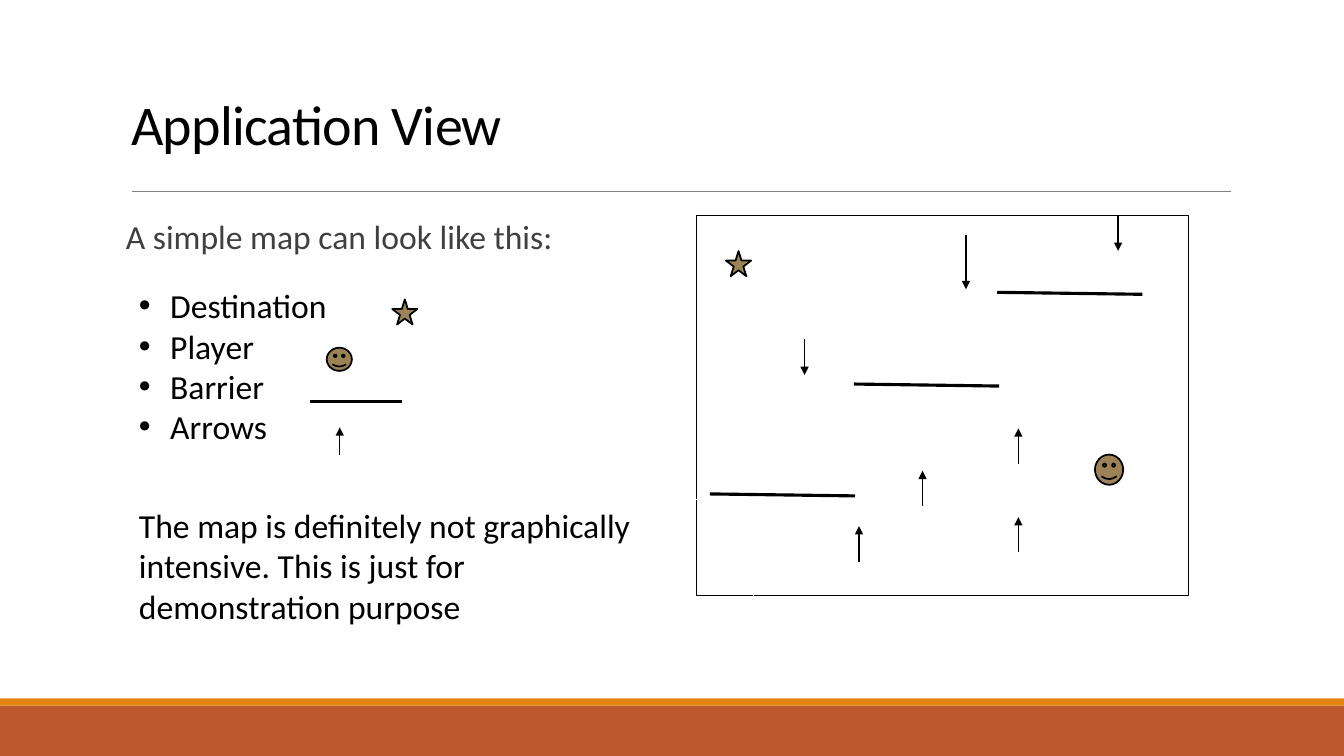
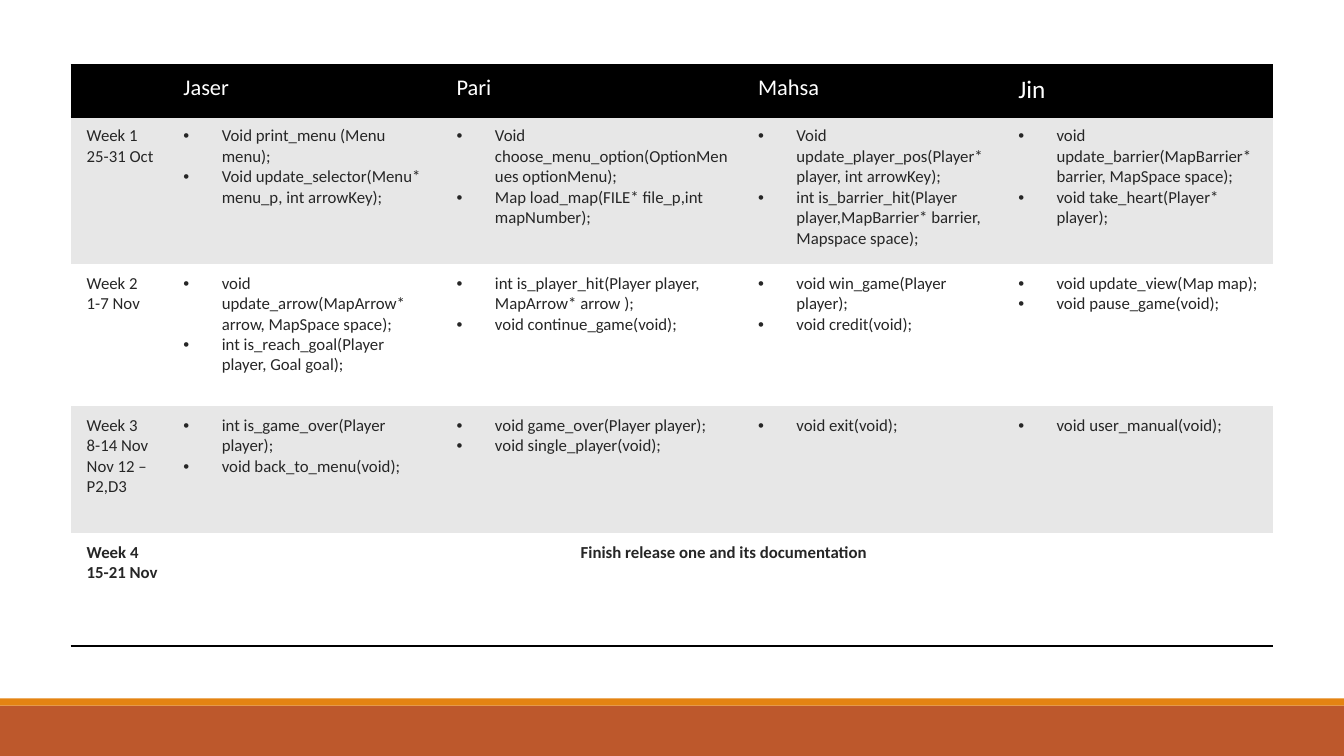
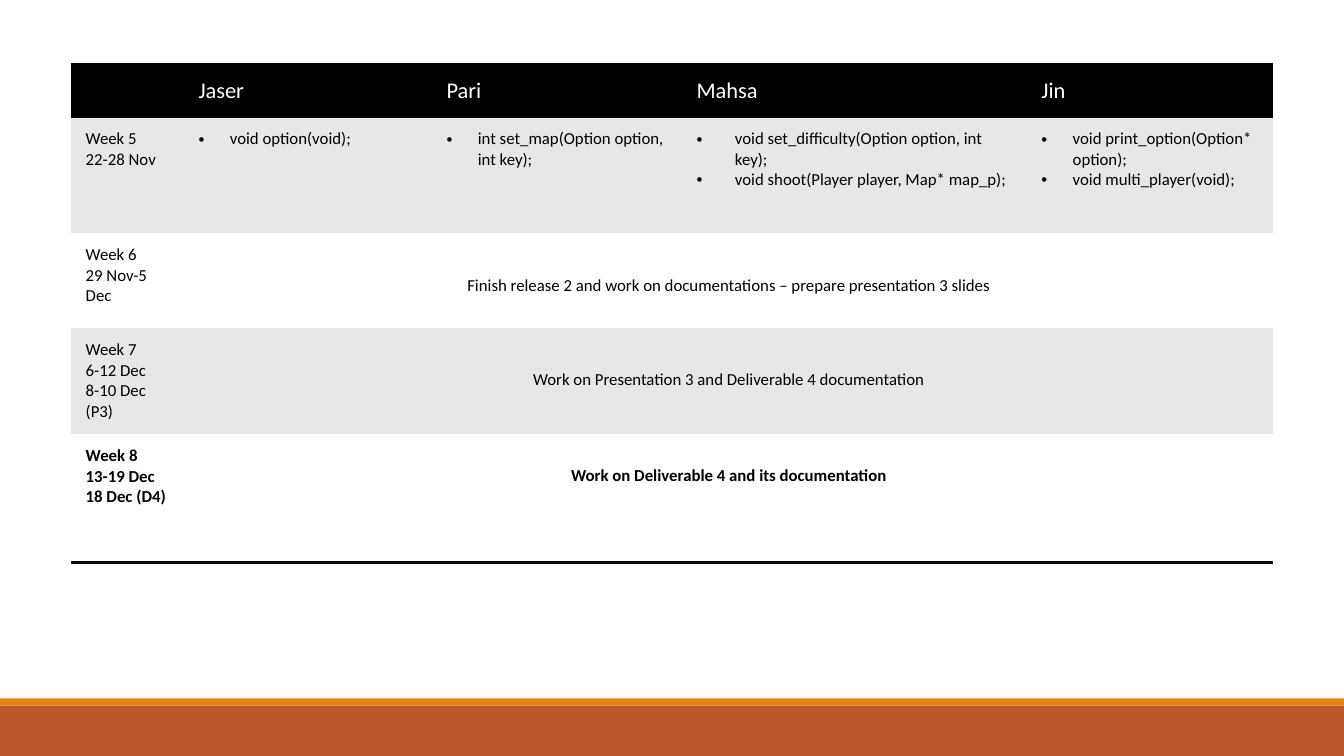
from pptx import Presentation
from pptx.dml.color import RGBColor
from pptx.enum.shapes import MSO_CONNECTOR as CONN, MSO_SHAPE as SHAPE
from pptx.enum.text import MSO_ANCHOR as ANCHOR, MSO_AUTO_SIZE as AUTO, PP_ALIGN as ALIGN
from pptx.oxml.ns import qn
from pptx.util import Inches, Pt
from lxml.etree import SubElement, Element

COLORS = {"rust": "BD582C", "orange": "E48312", "rule": "808080", "black": "000000",
          "body": "404040", "cell": "262626", "tan": "9B8357", "band": "E7E7E7",
          "white": "FFFFFF"}
FONT = "Calibri"
W, H = 13.33, 7.5
NO_STYLE = "{2D5ABB26-0587-4C30-8999-92F81FD0307C}"

prs = Presentation()
prs.slide_width, prs.slide_height = Inches(W), Inches(H)
TITLE_ONLY, BLANK = prs.slide_layouts[5], prs.slide_layouts[6]


def rgb(name):
    return RGBColor.from_string(COLORS[name])


# Shared drawing helpers
def add_shape(s, kind, x, y, w, h, fill=None, line=None, width=1.0):
    sp = s.shapes.add_shape(kind, Inches(x), Inches(y), Inches(w), Inches(h))
    sp.shadow.inherit = False
    if fill:
        sp.fill.solid()
        sp.fill.fore_color.rgb = rgb(fill)
    else:
        sp.fill.background()
    if line:
        sp.line.color.rgb = rgb(line)
        sp.line.width = Pt(width)
    else:
        sp.line.fill.background()
    return sp


def add_line(s, x1, y1, x2, y2, color="black", width=1.0, arrow=False):
    line = s.shapes.add_connector(CONN.STRAIGHT, Inches(x1), Inches(y1), Inches(x2), Inches(y2))
    line.line.color.rgb = rgb(color)
    line.line.width = Pt(width)
    if arrow:
        SubElement(line.line._get_or_add_ln(), qn("a:tailEnd"), type="triangle")
    SubElement(line._element.spPr, qn("a:effectLst"))


def add_bullet(p, indent):
    pPr = p._p.get_or_add_pPr()
    pPr.set("marL", str(Inches(indent)))
    pPr.set("indent", str(-Inches(indent)))
    SubElement(pPr, qn("a:buFont"), typeface="Arial")
    SubElement(pPr, qn("a:buChar"), char="•")


def write(tf, lines, size, color="black", bold=False, align=ALIGN.LEFT, indent=0, spacing=None):
    tf.word_wrap = True
    tf.text = "\n".join(lines)
    for p in tf.paragraphs:
        p.alignment = align
        if spacing:
            p.line_spacing = spacing
        if indent:
            add_bullet(p, indent)
        for r in p.runs:
            r.font.name, r.font.size, r.font.bold = FONT, Pt(size), bold
            r.font.color.rgb = rgb(color)


def add_text(s, x, y, w, h, lines, **style):
    box = s.shapes.add_textbox(Inches(x), Inches(y), Inches(w), Inches(h))
    write(box.text_frame, lines, 24, **style)


def add_slide(layout):
    s = prs.slides.add_slide(layout)
    add_shape(s, SHAPE.RECTANGLE, 0, 7, W, 0.5, "rust")
    add_shape(s, SHAPE.RECTANGLE, 0, 6.93, W, 0.07, "orange")
    return s


def set_title(s, text):
    title = s.shapes.title
    title.left, title.top, title.width, title.height = map(Inches, (1.2, 0.02, 11, 1.59))
    tf = title.text_frame
    tf.auto_size, tf.vertical_anchor = AUTO.NONE, ANCHOR.BOTTOM
    write(tf, [text], 40, spacing=0.85)
    tf.paragraphs[0].runs[0].font._element.set("spc", "-50")
    add_line(s, 1.31, 1.9, 12.21, 1.9, "rule", 0.5)


# Game pieces
def add_star(s, x, y):
    add_shape(s, SHAPE.STAR_5_POINT, x, y, 0.25, 0.25, "tan", "black", 1.25)


def add_player(s, x, y, w, h):
    add_shape(s, SHAPE.SMILEY_FACE, x, y, w, h, "tan", "black", 1.25)


def add_barrier(s, x, y, length, drop=0.0):
    add_line(s, x, y, x + length, y + drop, width=2.25)


def add_arrow(s, x, tail, head):
    add_line(s, x, tail, x, head, arrow=True)


def draw_map(s, x, y, w, h):
    add_shape(s, SHAPE.RECTANGLE, x, y, w, h, line="black")
    add_star(s, x + 0.29, y + 0.35)
    add_player(s, x + 3.95, y + 2.37, 0.28, 0.3)
    for dx, dy in [(2.98, 0.76), (0.13, 2.76), (1.56, 1.67)]:
        add_barrier(s, x + dx, y + dy, 1.44, 0.02)
    for dx, tail, head in [(4.18, 0, 0.35), (2.67, 0.19, 0.73), (1.07, 1.22, 1.58),
                           (2.24, 2.88, 2.53), (3.19, 3.34, 2.99), (3.19, 2.46, 2.11),
                           (1.61, 3.44, 3.08)]:
        add_arrow(s, x + dx, y + tail, y + head)


def draw_legend(s, x, y, w, h):
    add_text(s, x, y, w, h, ["Destination", "Player", "Barrier", "Arrows"], indent=0.31)
    add_star(s, x + 2.61, y + 0.19)
    add_player(s, x + 1.96, y + 0.67, 0.25, 0.23)
    add_barrier(s, x + 1.79, y + 1.2, 0.92)
    add_arrow(s, x + 2.09, y + 1.73, y + 1.46)


def draw_note(s, x, y, w, h):
    note = add_shape(s, SHAPE.RECTANGLE, x, y, w, h, line="white", width=0.75)
    tf = note.text_frame
    tf.vertical_anchor = ANCHOR.TOP
    tf.margin_right = Inches(0.2)
    write(tf, ["The map is definitely not graphically intensive. This is just for",
               "demonstration purpose"], 24)


# Schedule tables
def add_borders(cell, sides):
    tcPr = cell._tc.get_or_add_tcPr()
    for i, side in enumerate(sides):
        ln = Element(qn("a:ln" + side), w=str(Pt(2)))
        SubElement(SubElement(ln, qn("a:solidFill")), qn("a:srgbClr"), val=COLORS["black"])
        tcPr.insert(i, ln)


def draw_schedule(s, x, y, cols, heights, rows, insets, indents, color, drops, header_anchor):
    """A one-entry row after its week spans the other columns; drops lower its text."""
    frame = s.shapes.add_table(len(rows), len(cols), Inches(x), Inches(y),
                               Inches(sum(cols)), Inches(sum(heights)))
    table = frame.table
    table.first_row = table.horz_banding = False
    table._tbl.tblPr.find(qn("a:tableStyleId")).text = NO_STYLE
    for col, width in zip(table.columns, cols):
        col.width = Inches(width)
    last = len(rows) - 1
    for i, entries in enumerate(rows):
        table.rows[i].height = Inches(heights[i])
        spans = len(entries) == 2
        for j in range(len(cols)):
            cell = table.cell(i, j)
            cell.fill.solid()
            cell.fill.fore_color.rgb = rgb("black" if i == 0 else "band" if i % 2 else "white")
            add_borders(cell, "TB" if i == 0 else "B" if i == last else "")
            if j >= len(entries) or not entries[j]:
                cell.margin_top = cell.margin_bottom = 0
                continue
            cell.margin_left, cell.margin_top, cell.margin_right, cell.margin_bottom = map(
                Inches, insets)
            tf = cell.text_frame
            if i == 0:
                cell.vertical_anchor = header_anchor
                write(tf, entries[j], 16, "white")
            elif spans and j == 1:
                cell.margin_top = Inches(insets[1] + drops.get(i, 0))
                write(tf, entries[j], 12, color, i == last, ALIGN.CENTER)
            else:
                write(tf, entries[j], 12, color, i == last, indent=indents[j])
        if spans:
            table.cell(i, 1).merge(table.cell(i, len(cols) - 1))
    return table


HEADER = [[], ["Jaser"], ["Pari"], ["Mahsa"], ["Jin"]]

# Slide 1: application view
s = add_slide(TITLE_ONLY)
set_title(s, "Application View")
add_text(s, 1.15, 2.14, 5.5, 0.5, ["A simple map can look like this:"], color="body", spacing=0.9)
draw_map(s, 6.91, 2.14, 4.88, 3.77)
draw_legend(s, 1.28, 2.78, 3, 1.72)
draw_note(s, 1.28, 4.96, 6.19, 1.31)

# Slide 2: weeks 1 to 4
s = add_slide(BLANK)
table = draw_schedule(
    s, 0.7, 0.65, [0.96, 2.71, 2.99, 2.58, 2.69], [0.51, 1.46, 1.41, 1.26, 1.12],
    [HEADER,
     [["Week 1", "25-31 Oct"],
      ["Void print_menu (Menu menu);", "Void update_selector(Menu* menu_p, int arrowKey);"],
      ["Void choose_menu_option(OptionMenues optionMenu);",
       "Map load_map(FILE* file_p,int mapNumber);"],
      ["Void update_player_pos(Player* player, int arrowKey);",
       "int is_barrier_hit(Player player,MapBarrier* barrier, Mapspace space);"],
      ["void update_barrier(MapBarrier* barrier, MapSpace space);",
       "void take_heart(Player* player);"]],
     [["Week 2", "1-7 Nov"],
      ["void update_arrow(MapArrow* arrow, MapSpace space);",
       "int is_reach_goal(Player player, Goal goal);"],
      ["int is_player_hit(Player player, MapArrow* arrow );", "void continue_game(void);"],
      ["void win_game(Player player);", "void credit(void);"],
      ["void update_view(Map map);", "void pause_game(void);"]],
     [["Week 3", "8-14 Nov", "Nov 12 – P2,D3"],
      ["int is_game_over(Player player);", "void back_to_menu(void);"],
      ["void game_over(Player player);", "void single_player(void);"],
      ["void exit(void);"],
      ["void user_manual(void);"]],
     [["Week 4", "15-21 Nov"], ["Finish release one and its documentation"]]],
    insets=(0.16, 0.09, 0.09, 0.09), indents=[0, 0.38, 0.38, 0.38, 0.38],
    color="cell", drops={}, header_anchor=ANCHOR.TOP)
table.cell(0, 4).text_frame.paragraphs[0].runs[0].font.size = Pt(18)

# Slide 3: weeks 5 to 8
s = add_slide(BLANK)
draw_schedule(
    s, 0.7, 0.64, [1.12, 2.46, 2.48, 3.42, 2.45], [0.52, 1.15, 0.94, 1.04, 1.28],
    [HEADER,
     [["Week 5", "22-28 Nov"],
      ["void option(void);"],
      ["int set_map(Option option, int key);"],
      ["void set_difficulty(Option option, int key);", "void shoot(Player player, Map* map_p);"],
      ["void print_option(Option* option);", "void multi_player(void);"]],
     [["Week 6", "29 Nov-5 Dec"],
      ["Finish release 2 and work on documentations – prepare presentation 3 slides"]],
     [["Week 7", "6-12 Dec", "8-10 Dec (P3)"],
      ["Work on Presentation 3 and Deliverable 4 documentation"]],
     [["Week 8", "13-19 Dec", "18 Dec (D4)"],
      ["Work on Deliverable 4 and its documentation"]]],
    insets=(0.15, 0.12, 0.14, 0.12), indents=[0, 0.31, 0.31, 0.38, 0.31],
    color="black", drops={2: 0.3, 3: 0.3, 4: 0.2}, header_anchor=ANCHOR.MIDDLE)

prs.save("out.pptx")
